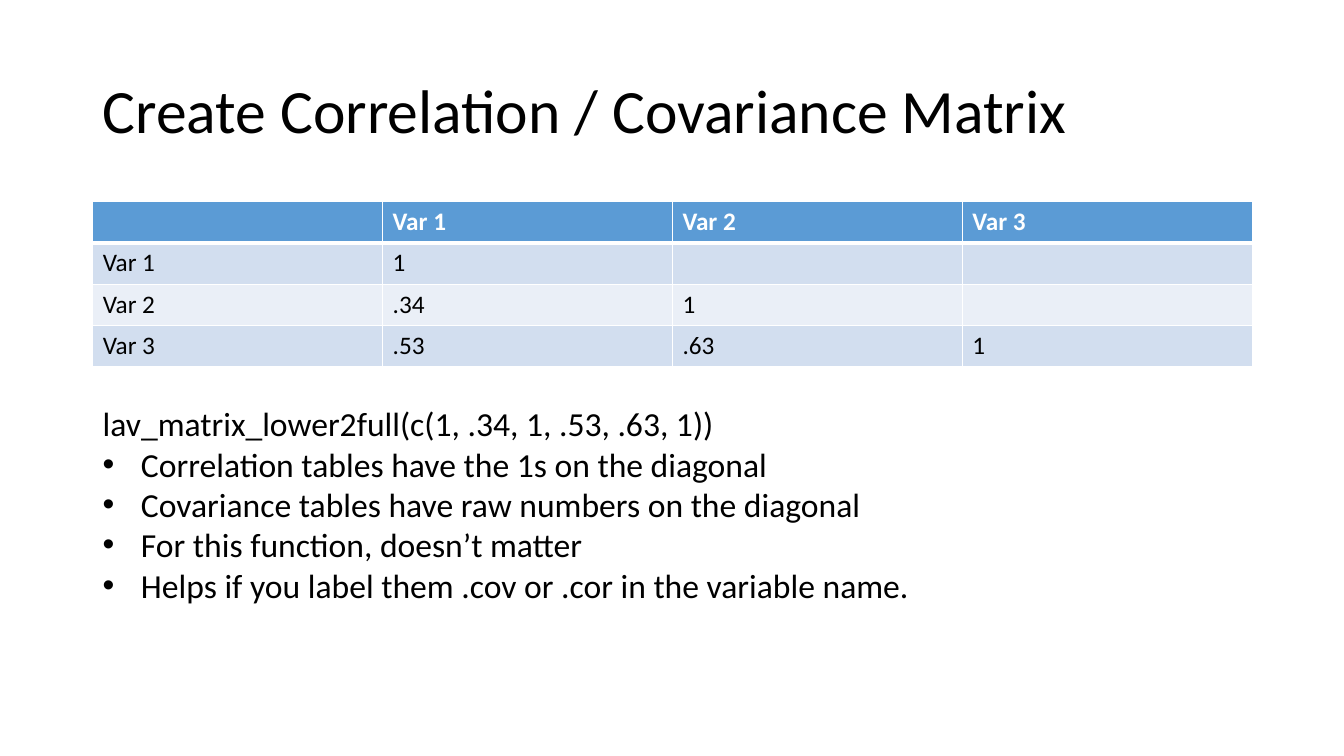
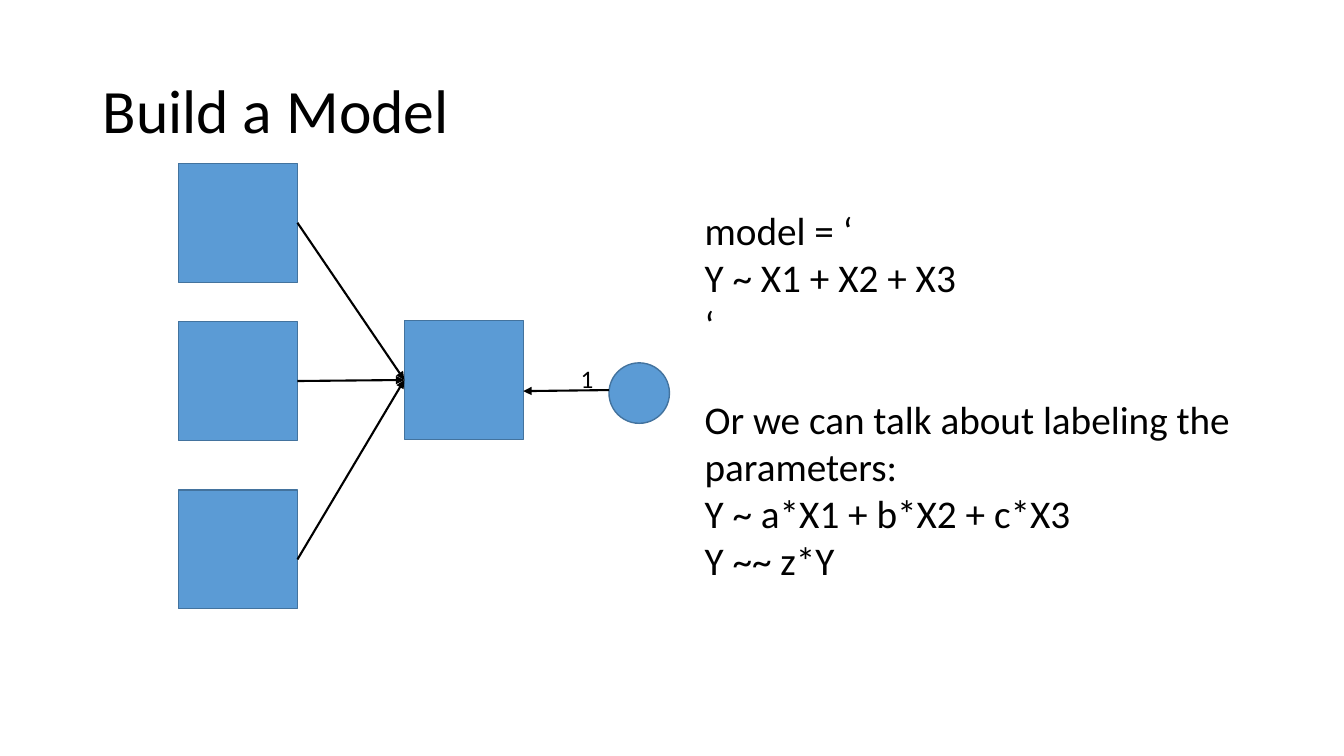
"""Build two slides on correlation matrices and a regression path model."""
from dataclasses import dataclass
from typing import Sequence

from lxml import etree
from pptx import Presentation
from pptx.dml.color import RGBColor
from pptx.enum.shapes import MSO_CONNECTOR, MSO_SHAPE
from pptx.enum.text import MSO_ANCHOR
from pptx.oxml.ns import qn
from pptx.slide import Slide
from pptx.table import _Cell
from pptx.util import Inches, Pt

RECTANGLE, OVAL = MSO_SHAPE.RECTANGLE, MSO_SHAPE.OVAL
STRAIGHT = MSO_CONNECTOR.STRAIGHT
TOP, MIDDLE = MSO_ANCHOR.TOP, MSO_ANCHOR.MIDDLE

FONT = "Calibri"
COLORS = {
    "text": "000000",
    "white": "FFFFFF",
    "accent": "5B9BD5",
    "outline": "43739E",
    "band_dark": "D2DEEF",
    "band_light": "EAEFF7",
}
LEFT, CONTENT_WIDTH = 0.92, 11.5
BULLET_INDENT = 0.38
ROW_HEIGHT = 0.41
NODE_SIZE, ERROR_SIZE = 1.18, 0.6

MATRIX = [
    ["", "Var 1", "Var 2", "Var 3"],
    ["Var 1", "1", "", ""],
    ["Var 2", ".34", "1", ""],
    ["Var 3", ".53", ".63", "1"],
]


@dataclass(frozen=True)
class Line:
    """One paragraph with its bullet and the space before it in points."""

    text: str
    bullet: bool = False
    before: float = 0


@dataclass(frozen=True)
class Node:
    """One variable of the path model, placed in inches."""

    left: float
    top: float
    size: float = NODE_SIZE
    outline: MSO_SHAPE = RECTANGLE


@dataclass(frozen=True)
class Arrow:
    """One path of the model, from start to end in inches."""

    start: tuple[float, float]
    end: tuple[float, float]


MATRIX_NOTES = [
    Line("lav_matrix_lower2full(c(1, .34, 1, .53, .63, 1))"),
    Line("Correlation tables have the 1s on the diagonal", bullet=True),
    Line("Covariance tables have raw numbers on the diagonal", bullet=True),
    Line("For this function, doesn’t matter", bullet=True),
    Line("Helps if you label them .cov or .cor in the variable name.", bullet=True),
]
MODEL_SYNTAX = [
    Line("model = ‘"),
    Line("Y ~ X1 + X2 + X3"),
    Line("‘"),
    Line("Or we can talk about labeling the parameters:", before=34),
    Line("Y ~ a*X1 + b*X2 + c*X3"),
    Line("Y ~~ z*Y"),
]
PREDICTORS = [Node(1.77, top) for top in (1.62, 3.19, 4.86)]
OUTCOME = Node(4.01, 3.18)
ERROR = Node(6.04, 3.6, ERROR_SIZE, OVAL)
PATHS = [Arrow((2.95, y), (4.01, 3.77)) for y in (2.21, 3.78, 5.55)]
ERROR_PATH = Arrow((6.04, 3.87), (5.19, 3.88))


def rgb(name: str) -> RGBColor:
    """Return the named colour."""
    return RGBColor.from_string(COLORS[name])


def write_text(frame, lines: Sequence[Line], *, size: float, color: str = "text",
               bold: bool = False, spacing: float = 1.0) -> None:
    """Fill a text frame with formatted paragraphs."""
    for index, line in enumerate(lines):
        paragraph = frame.paragraphs[0] if index == 0 else frame.add_paragraph()
        if line.bullet:
            properties = paragraph._p.get_or_add_pPr()
            properties.set("marL", str(Inches(BULLET_INDENT)))
            properties.set("indent", str(-Inches(BULLET_INDENT)))
            etree.SubElement(properties, qn("a:buFont"), typeface="Arial")
            etree.SubElement(properties, qn("a:buChar"), char="•")
        paragraph.line_spacing = spacing
        paragraph.space_before = Pt(line.before)
        run = paragraph.add_run()
        run.text = line.text
        run.font.name = FONT
        run.font.size = Pt(size)
        run.font.bold = bold
        run.font.color.rgb = rgb(color)


def add_text(slide: Slide, lines: Sequence[Line], left: float, top: float,
             width: float, height: float, *, size: float, wrap: bool = True,
             anchor: MSO_ANCHOR = TOP, spacing: float = 1.0) -> None:
    """Add a text box."""
    frame = slide.shapes.add_textbox(
        Inches(left), Inches(top), Inches(width), Inches(height)).text_frame
    frame.word_wrap = wrap
    frame.vertical_anchor = anchor
    write_text(frame, lines, size=size, spacing=spacing)


def add_titled_slide(deck, title: str) -> Slide:
    """Add a blank slide with the shared title style."""
    slide = deck.slides.add_slide(deck.slide_layouts[6])
    add_text(slide, [Line(title)], LEFT, 0.4, CONTENT_WIDTH, 1.45,
             size=44, anchor=MIDDLE, spacing=0.9)
    return slide


def set_borders(cell: _Cell, widths: dict[str, float]) -> None:
    """Draw white borders of the given widths in points."""
    properties = cell._tc.get_or_add_tcPr()
    for side, width in widths.items():
        border = etree.SubElement(properties, qn(f"a:ln{side}"), w=str(Pt(width)))
        fill = etree.SubElement(border, qn("a:solidFill"))
        etree.SubElement(fill, qn("a:srgbClr"), val=COLORS["white"])


def add_matrix(slide: Slide, rows: Sequence[Sequence[str]]) -> None:
    """Add the banded matrix table."""
    table = slide.shapes.add_table(
        len(rows), len(rows[0]), Inches(LEFT), Inches(2),
        Inches(CONTENT_WIDTH), Inches(ROW_HEIGHT * len(rows))).table
    for r, values in enumerate(rows):
        header = r == 0
        band = "accent" if header else "band_dark" if r % 2 else "band_light"
        borders = {"L": 1, "R": 1, "T": 3 if r == 1 else 1, "B": 3 if header else 1}
        for c, value in enumerate(values):
            cell = table.cell(r, c)
            set_borders(cell, borders)
            cell.fill.solid()
            cell.fill.fore_color.rgb = rgb(band)
            if value:
                write_text(cell.text_frame, [Line(value)], size=18, bold=header,
                           color="white" if header else "text")


def add_node(slide: Slide, node: Node) -> None:
    """Draw one variable of the model."""
    shape = slide.shapes.add_shape(
        node.outline, Inches(node.left), Inches(node.top),
        Inches(node.size), Inches(node.size))
    shape.shadow.inherit = False
    shape.fill.solid()
    shape.fill.fore_color.rgb = rgb("accent")
    shape.line.color.rgb = rgb("outline")
    shape.line.width = Pt(1)


def add_arrow(slide: Slide, arrow: Arrow) -> None:
    """Draw one path with a triangle at its end."""
    connector = slide.shapes.add_connector(
        STRAIGHT, *(Inches(value) for value in arrow.start + arrow.end))
    connector.line.color.rgb = rgb("text")
    connector.line.width = Pt(1.5)
    etree.SubElement(connector.line._get_or_add_ln(), qn("a:tailEnd"), type="triangle")
    etree.SubElement(connector._element.spPr, qn("a:effectLst"))


def build_matrix_slide(deck) -> None:
    """Build the slide with the correlation matrix."""
    slide = add_titled_slide(deck, "Create Correlation / Covariance Matrix")
    add_matrix(slide, MATRIX)
    add_text(slide, MATRIX_NOTES, LEFT, 3.95, 8.27, 2.52, size=24, wrap=False)


def build_model_slide(deck) -> None:
    """Build the slide with the path diagram and its syntax."""
    slide = add_titled_slide(deck, "Build a Model")
    add_text(slide, MODEL_SYNTAX, 6.89, 2, 5.52, 4.76, size=28)
    for node in [*PREDICTORS, OUTCOME, ERROR]:
        add_node(slide, node)
    for arrow in [ERROR_PATH, *PATHS]:
        add_arrow(slide, arrow)
    add_text(slide, [Line("1")], 5.66, 3.56, 0.33, 0.4, size=18, wrap=False)


def main() -> None:
    """Build and save the presentation."""
    deck = Presentation()
    deck.slide_width, deck.slide_height = Inches(13.33), Inches(7.5)
    build_matrix_slide(deck)
    build_model_slide(deck)
    deck.save("out.pptx")


if __name__ == "__main__":
    main()
